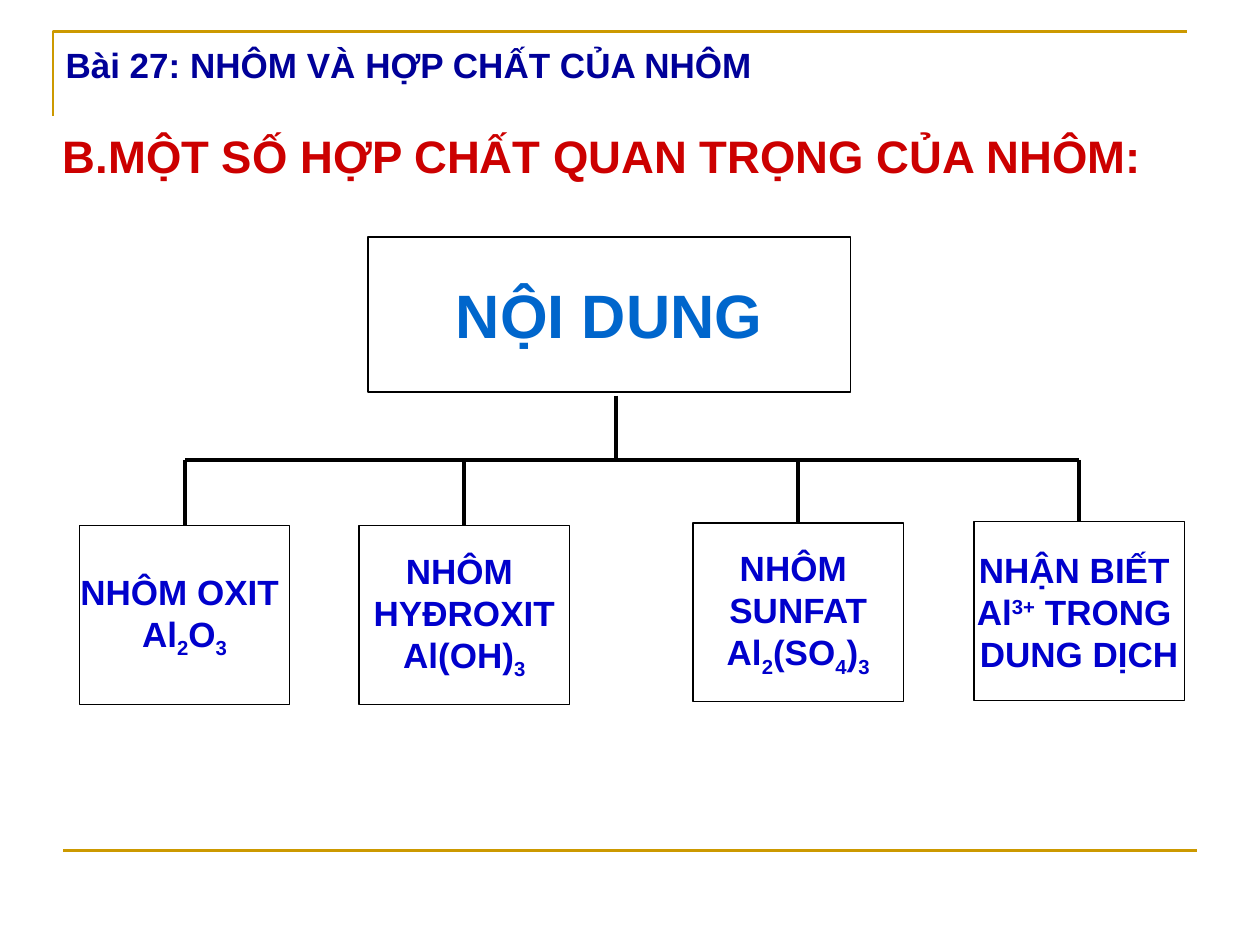
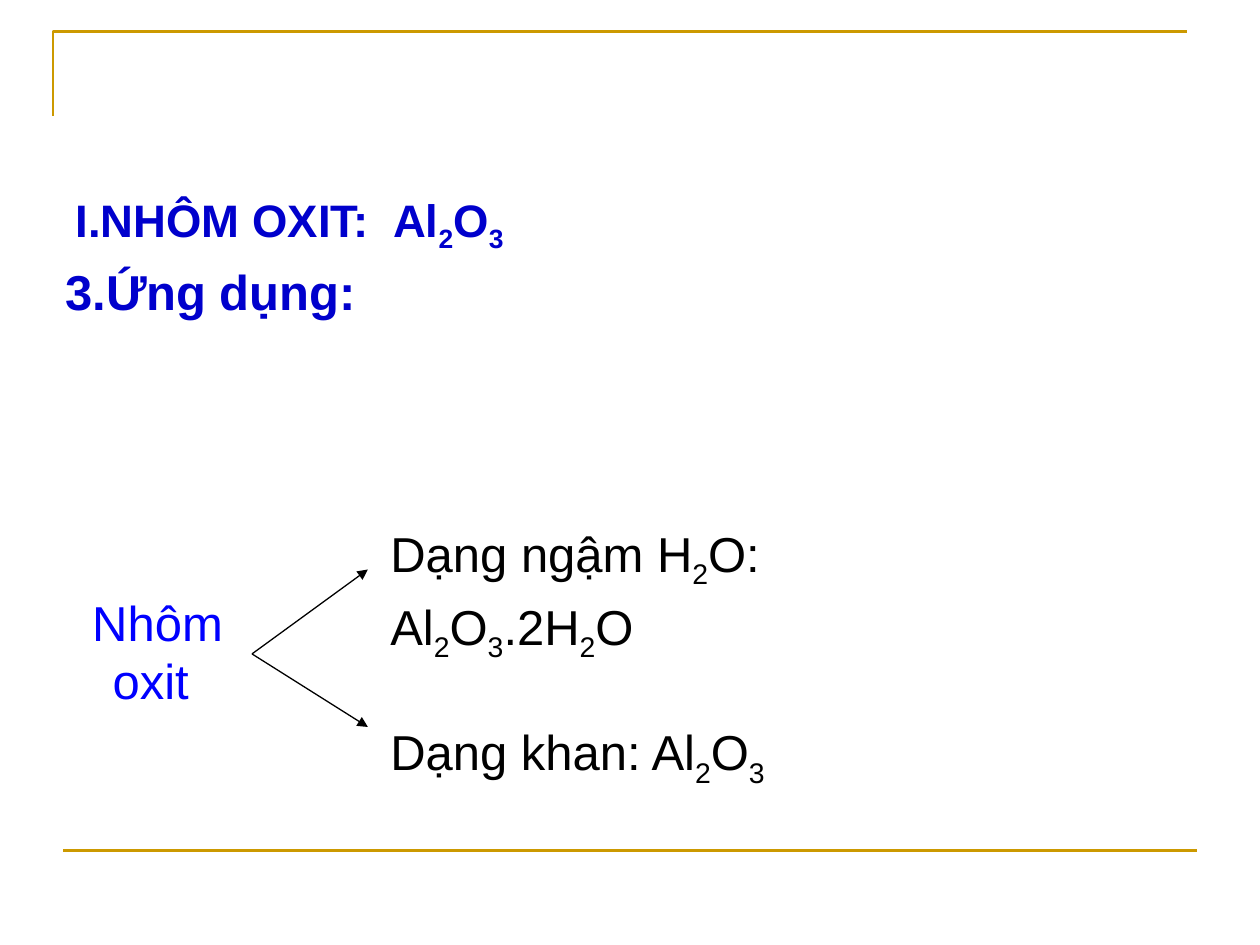
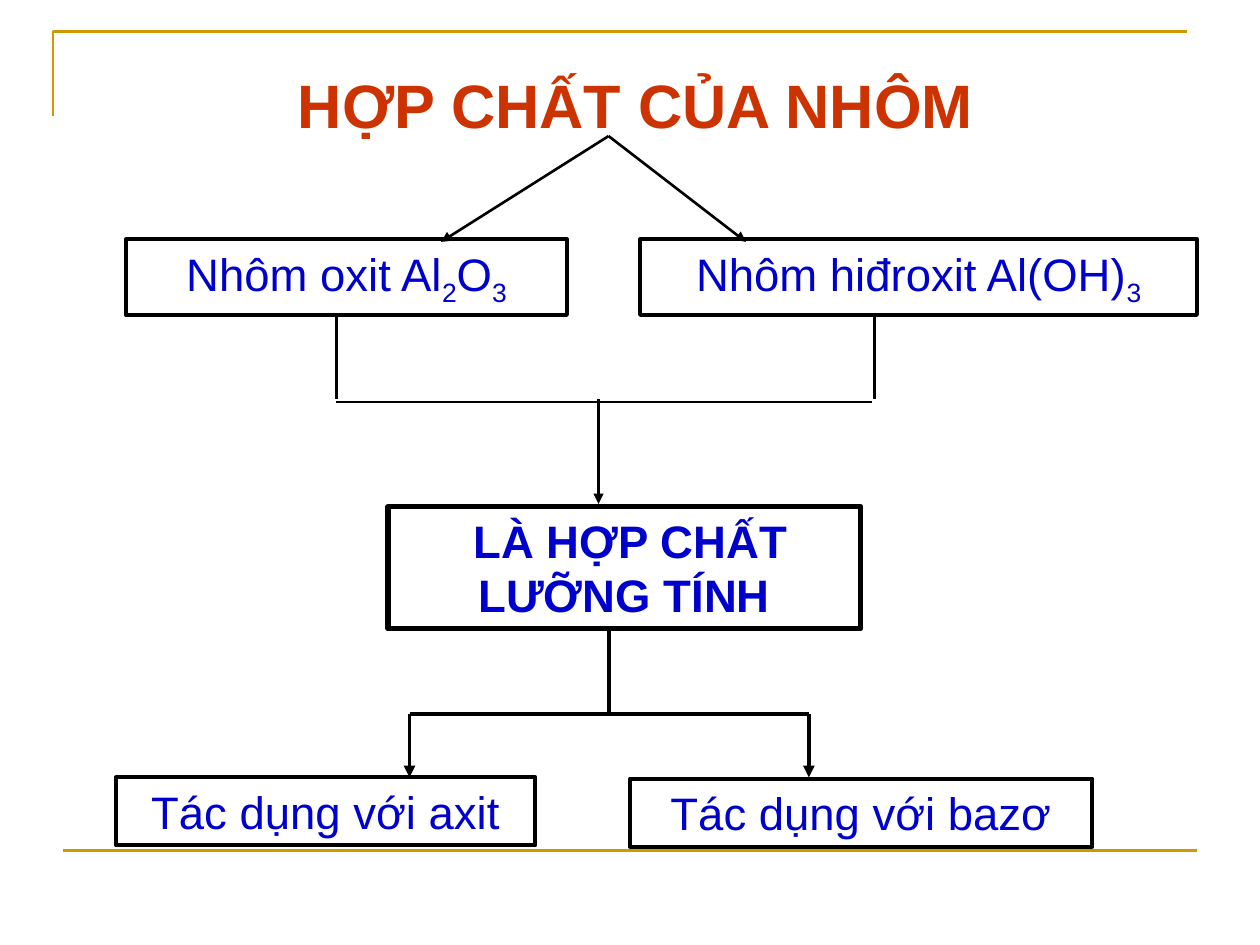
from dataclasses import dataclass

from lxml.etree import SubElement
from pptx import Presentation
from pptx.dml.color import RGBColor
from pptx.enum.shapes import MSO_CONNECTOR, MSO_SHAPE
from pptx.enum.text import MSO_ANCHOR, MSO_AUTO_SIZE, PP_ALIGN
from pptx.oxml.ns import qn
from pptx.util import Pt

PX = 9144
TITLE_ONLY = 5
TOP = 0
LEFT, CENTER = PP_ALIGN.LEFT, PP_ALIGN.CENTER
BASELINES = {"_": "-25000", "^": "30000"}


@dataclass(frozen=True)
class Theme:
    font: str = "Arial"
    gold: str = "CC9900"
    black: str = "000000"
    navy: str = "000099"
    blue: str = "0000CC"
    bright_blue: str = "0000FF"
    sky: str = "0066CC"
    red: str = "CC0000"
    orange: str = "CC3300"
    small: int = 20
    medium: int = 26
    large: int = 28
    huge: int = 35
    hairline: float = 0.75
    thin: float = 1
    rule: float = 1.5
    thick: float = 2.25
    heavy: float = 3


class LessonDeck:
    def __init__(self, theme):
        self.theme = theme
        self.deck = Presentation()
        self.deck.slide_width = 1000 * PX
        self.deck.slide_height = 750 * PX
        self.layout = self.deck.slide_layouts[TITLE_ONLY]
        self.page = None

    def new_page(self):
        self.page = self.deck.slides.add_slide(self.layout)

    def add_frame(self):
        builder = self.page.shapes.build_freeform(42, 92, scale=PX)
        builder.add_line_segments([(42, 25), (942, 25)], close=False)
        corner = builder.convert_to_shape()
        corner.fill.background()
        corner.shadow.inherit = False
        self.stroke(corner, self.theme.rule, self.theme.gold)
        footer = self.line((50, 675), (950, 675), self.theme.rule, self.theme.gold)
        for number, part in enumerate((corner, footer), 20):
            part.element.xpath(".//p:cNvPr")[0].set("id", str(number))
            self.layout.shapes.element.append(part.element)

    def stroke(self, shape, width, color):
        shape.line.color.rgb = RGBColor.from_string(color)
        shape.line.width = Pt(width)

    def fill_text(self, shape, lines, size, color, bold=False, align=LEFT,
                  anchor=MSO_ANCHOR.TOP, spacing=1.0, wrap=True, tab=None):
        frame = shape.text_frame
        frame.auto_size = MSO_AUTO_SIZE.NONE
        frame.word_wrap = wrap
        frame.vertical_anchor = anchor
        for index, line in enumerate(lines):
            para = frame.add_paragraph() if index else frame.paragraphs[0]
            para.alignment = align
            para.line_spacing = spacing
            if tab:
                stops = SubElement(para._p.get_or_add_pPr(), qn("a:tabLst"))
                SubElement(stops, qn("a:tab"), pos=str(tab * PX), algn="l")
            para.font.name = self.theme.font
            para.font.size = Pt(size)
            para.font.bold = bold
            para.font.color.rgb = RGBColor.from_string(color)
            for piece in line.split("|"):
                span = para.add_run()
                baseline = BASELINES.get(piece[0])
                span.text = piece[1:] if baseline else piece
                if baseline:
                    span._r.get_or_add_rPr().set("baseline", baseline)

    def title(self, area, text, size, color, **style):
        box = self.page.shapes.title
        box.left, box.top, box.width, box.height = (side * PX for side in area)
        self.fill_text(box, [text], size, color, bold=True, **style)

    def text(self, area, text, size, color, **style):
        box = self.page.shapes.add_textbox(*(side * PX for side in area))
        self.fill_text(box, [text], size, color, **style)

    def box(self, area, lines, size, color, width, **style):
        box = self.page.shapes.add_shape(
            MSO_SHAPE.RECTANGLE, *(side * PX for side in area))
        box.fill.background()
        box.shadow.inherit = False
        self.stroke(box, width, self.theme.black)
        self.fill_text(box, lines, size, color, align=CENTER, **style)
        return box

    def line(self, start, end, width, color=None, arrow=False, target=None):
        ends = (round(value * PX) for value in (*start, *end))
        line = self.page.shapes.add_connector(MSO_CONNECTOR.STRAIGHT, *ends)
        if target is not None:
            line.end_connect(target, TOP)
        self.stroke(line, width, color or self.theme.black)
        properties = line.element.spPr
        if arrow:
            SubElement(properties.find(qn("a:ln")), qn("a:tailEnd"), type="triangle")
        SubElement(properties, qn("a:effectLst"))
        return line


def build_contents(lesson):
    theme = lesson.theme
    lesson.new_page()
    lesson.add_frame()
    lesson.title((42, 23, 958, 50), "Bài 27: NHÔM VÀ HỢP CHẤT CỦA NHÔM", theme.small,
                 theme.navy, align=LEFT, anchor=MSO_ANCHOR.MIDDLE, spacing=1.2)
    lesson.text((40, 92, 925, 58), "B.MỘT SỐ HỢP CHẤT QUAN TRỌNG CỦA NHÔM:",
                theme.medium, theme.red, bold=True, spacing=1.1)
    centered = dict(bold=True, anchor=MSO_ANCHOR.MIDDLE, wrap=False)
    lesson.box((292, 188, 383, 123), ["NỘI DUNG"], theme.huge, theme.sky,
               theme.thin, **centered)
    topics = [
        (63, 417, ["NHÔM OXIT ", "Al|_2|O|_3"]),
        (285, 417, ["NHÔM ", "HYĐROXIT", "Al(OH)|_3"]),
        (550, 415, ["NHÔM ", "SUNFAT", "Al|_2|(SO|_4|)|_3"]),
        (773, 414, ["NHẬN BIẾT ", "Al|^3+| TRONG ", "DUNG DỊCH"]),
    ]
    width, bus = 167, 365
    for left, top, lines in topics:
        topic = lesson.box((left, top, width, 142), lines, theme.small, theme.blue,
                           theme.hairline, **centered)
        middle = left + width / 2
        lesson.line((middle, bus), (middle, top), theme.thick, target=topic)
    lesson.line((147, bus), (856, bus), theme.thick)
    lesson.line((489, 314), (489, bus), theme.thick)


def build_uses(lesson):
    theme = lesson.theme
    lesson.new_page()
    lesson.title((50, 147, 725, 60), "I.NHÔM OXIT:\tAl|_2|O|_3", theme.medium,
                 theme.blue, align=LEFT, tab=252)
    lesson.text((42, 203, 783, 57), "3.Ứng dụng:", theme.large, theme.blue, bold=True)
    lesson.text((50, 465, 150, 104), "Nhôm oxit ", theme.large, theme.bright_blue,
                align=CENTER)
    lesson.text((300, 405, 425, 127), "Dạng ngậm H|_2|O: Al|_2|O|_3|.2H|_2|O",
                theme.large, theme.black, spacing=1.1)
    lesson.text((300, 568, 450, 63), "Dạng khan: Al|_2|O|_3", theme.large, theme.black)
    for end_y in (452, 577):
        lesson.line((200, 519), (292, end_y), theme.hairline, arrow=True)


def build_summary(lesson):
    theme = lesson.theme
    lesson.new_page()
    lesson.title((217, 48, 575, 69), "HỢP CHẤT CỦA NHÔM", theme.huge, theme.orange,
                 align=CENTER)
    labels = [
        ((100, 190, 350, 60), "Nhôm oxit Al|_2|O|_3"),
        ((508, 190, 442, 60), "Nhôm hiđroxit Al(OH)|_3"),
        ((92, 617, 333, 54), "Tác dụng với axit"),
        ((500, 618, 367, 54), "Tác dụng với bazơ"),
    ]
    for area, label in labels:
        lesson.box(area, [label], theme.medium, theme.blue, theme.thick)
    lesson.box((308, 402, 375, 97), [" LÀ HỢP CHẤT LƯỠNG TÍNH"], theme.medium,
               theme.blue, theme.heavy, bold=True)

    for end_x in (350, 592):
        lesson.line((483, 108), (end_x, 192), theme.rule, arrow=True)

    for x in (267, 694):
        lesson.line((x, 250), (x, 317), theme.rule)
    lesson.line((267, 319), (692, 319), theme.rule)
    lesson.line((475, 317), (475, 400), theme.rule, arrow=True)

    lesson.line((483, 500), (483, 567), theme.thick)
    lesson.line((325, 567), (642, 567), theme.thick)
    for x in (325, 642):
        lesson.line((x, 567), (x, 617), theme.thick, arrow=True)


def main():
    lesson = LessonDeck(Theme())
    build_contents(lesson)
    build_uses(lesson)
    build_summary(lesson)
    lesson.deck.save("out.pptx")


if __name__ == "__main__":
    main()
